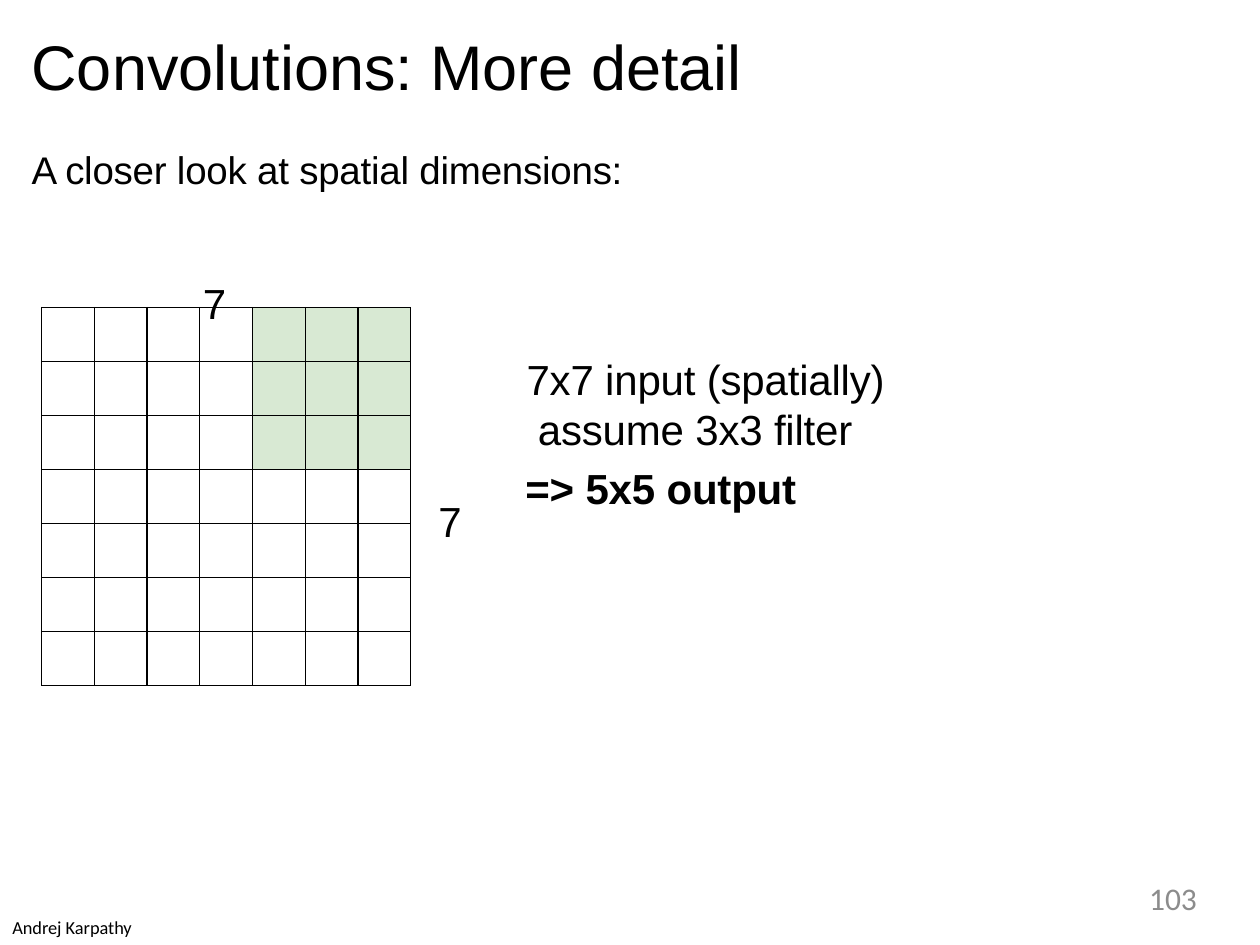
from dataclasses import dataclass

from lxml.etree import SubElement
from pptx import Presentation
from pptx.dml.color import RGBColor
from pptx.enum.text import PP_ALIGN
from pptx.oxml.ns import qn
from pptx.util import Inches, Pt


@dataclass(frozen=True)
class Theme:
    """Colours, fonts and type sizes of the slide."""

    ink: str = "000000"
    muted: str = "8C8C8C"
    filter_fill: str = "D8E9D3"
    sans: str = "Arial"
    footer: str = "Calibri"
    title_size: float = 36
    lead_size: float = 22
    body_size: float = 24
    credit_size: float = 10.5
    number_size: float = 18
    border_width: float = 0.75
    tracking: int = -10


@dataclass(frozen=True)
class Line:
    """One paragraph of text with its spacing in points and indent in columns."""

    text: str
    bold: bool = False
    indent: float = 0
    before: float = 0
    leading: float | None = None


class Deck:
    """Draws elements on the current slide, on a grid of 100 columns by 75 rows."""

    def __init__(self, theme):
        self.theme = theme
        self.presentation = Presentation()
        self.presentation.slide_width = Inches(10)
        self.presentation.slide_height = Inches(7.5)
        self.column = self.presentation.slide_width / 100
        self.row = self.presentation.slide_height / 75
        self.slide = self.presentation.slides.add_slide(self.presentation.slide_layouts[6])

    def area(self, left, top, width, height):
        """Turn grid columns and rows into slide lengths."""
        return (round(left * self.column), round(top * self.row),
                round(width * self.column), round(height * self.row))

    def text(self, place, lines, size, font=None, color=None,
             align=PP_ALIGN.LEFT, tracking=0, padded=False):
        """Add a text box with one paragraph for each line."""
        frame = self.slide.shapes.add_textbox(*self.area(*place)).text_frame
        frame.word_wrap = not padded
        if not padded:
            frame.margin_left = frame.margin_right = 0
            frame.margin_top = frame.margin_bottom = 0
        for index, line in enumerate(lines):
            paragraph = frame.add_paragraph() if index else frame.paragraphs[0]
            paragraph.alignment = align
            if line.indent:
                paragraph._p.get_or_add_pPr().set("marL", str(round(line.indent * self.column)))
            if line.before:
                paragraph.space_before = Pt(line.before)
            if line.leading:
                paragraph.line_spacing = Pt(line.leading)
            run = paragraph.add_run()
            run.text = line.text
            run.font.name = font or self.theme.sans
            run.font.size = Pt(size)
            run.font.bold = line.bold
            run.font.color.rgb = RGBColor.from_string(color or self.theme.ink)
            if tracking:
                run._r.get_or_add_rPr().set("spc", str(tracking))

    def body(self, place, *lines):
        """Add body text in the main size."""
        self.text(place, lines, self.theme.body_size, tracking=self.theme.tracking)

    def border(self, cell):
        """Rule all four sides of a table cell."""
        properties = cell._tc.get_or_add_tcPr()
        for position, side in enumerate(("lnL", "lnR", "lnT", "lnB")):
            edge = SubElement(properties, qn(f"a:{side}"), w=str(Pt(self.theme.border_width)))
            fill = SubElement(edge, qn("a:solidFill"))
            SubElement(fill, qn("a:srgbClr"), val=self.theme.ink)
            properties.insert(position, edge)

    def input_grid(self, place, size, filter_size):
        """Add a square input table with the filter shaded at its top right."""
        table = self.slide.shapes.add_table(size, size, *self.area(*place)).table
        table.first_row = table.horz_banding = False
        for row in range(size):
            for column in range(size):
                cell = table.cell(row, column)
                cell.margin_top = cell.margin_bottom = 0
                if row < filter_size and column >= size - filter_size:
                    cell.fill.solid()
                    cell.fill.fore_color.rgb = RGBColor.from_string(self.theme.filter_fill)
                else:
                    cell.fill.background()
                self.border(cell)


def main():
    """Build the slide and save it."""
    theme = Theme()
    deck = Deck(theme)
    deck.body((41.6, 36.7, 21.9, 4.1), Line("=> 5x5 output", bold=True, indent=0.1))
    deck.body(
        (16, 22, 54.6, 14.3),
        Line("7", indent=0.1),
        Line("7x7 input (spatially)", indent=25.8, before=15.2, leading=28.5),
        Line("assume 3x3 filter", indent=26.7, leading=28.5),
    )
    deck.body((34.7, 39.3, 2.1, 4.1), Line("7", indent=0.1))
    deck.text((2.5, 11.6, 95.1, 3.7), [Line("A closer look at spatial dimensions:")],
              theme.lead_size, tracking=theme.tracking)
    deck.input_grid((3.3, 24.4, 29.3, 30), size=7, filter_size=3)
    deck.text((2.5, 2.2, 95.1, 6.1), [Line("Convolutions: More detail")], theme.title_size)
    deck.text((0, 72.2, 11.7, 2.8), [Line("Andrej Karpathy")], theme.credit_size,
              font=theme.footer, padded=True)
    deck.text((72, 69.8, 23, 3), [Line("103")], theme.number_size,
              font=theme.footer, color=theme.muted, align=PP_ALIGN.RIGHT)
    deck.presentation.save("out.pptx")


if __name__ == "__main__":
    main()
